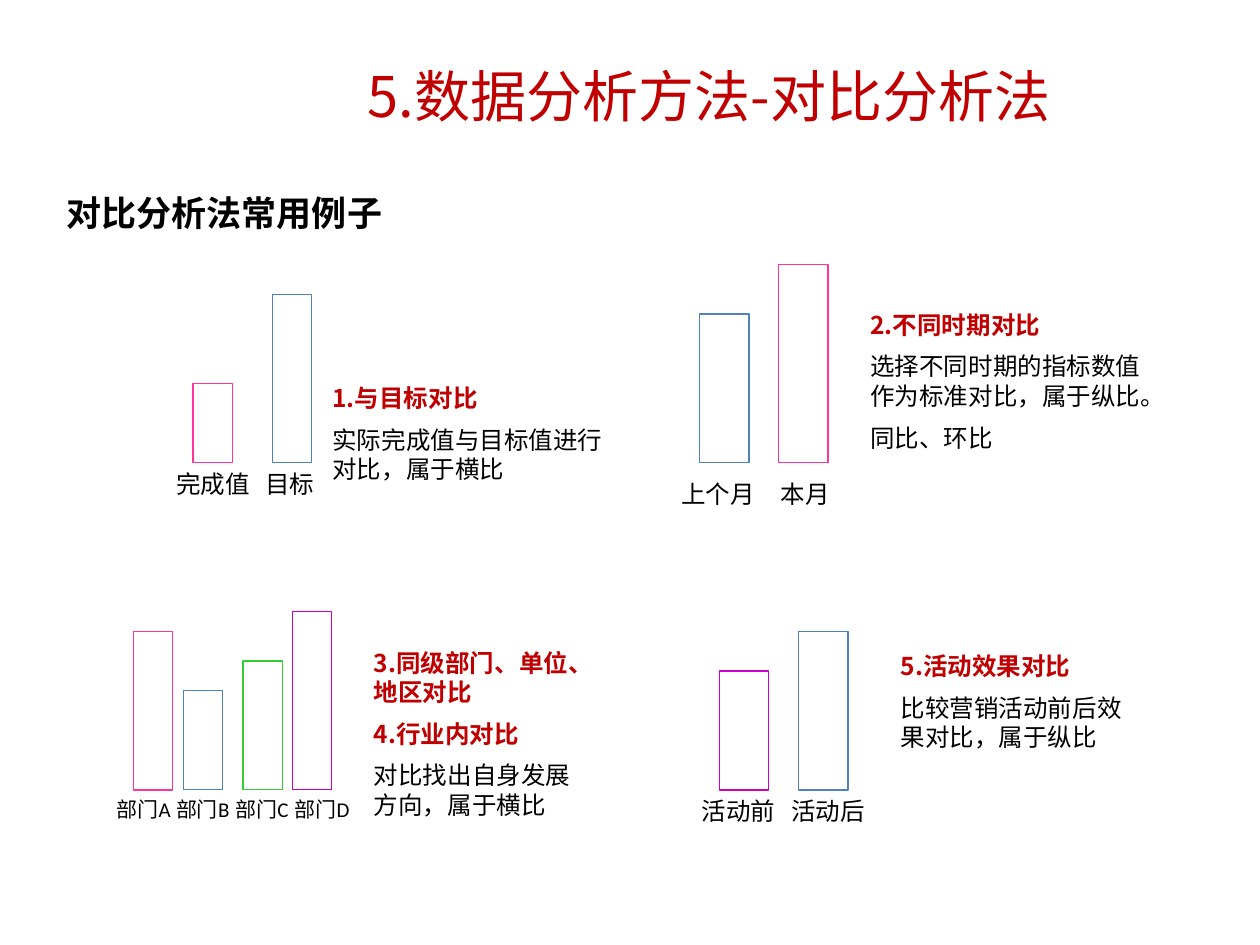
"""Build a slide of common examples of comparison analysis."""
import pptx
import pptx.dml.color
import pptx.enum.shapes
import pptx.enum.text
import pptx.util

Pt = pptx.util.Pt
SANS, BODY = "Noto Sans CJK SC", "Calibri"
BLACK, WHITE, RED = "000000", "FFFFFF", "C00000"
PINK, BLUE, GREEN, PURPLE = "FF3399", "4F81BD", "33CC33", "CC00CC"


def color(code):
    return pptx.dml.color.RGBColor.from_string(code)


class Deck:
    def __init__(self):
        self.file = pptx.Presentation()
        self.file.slide_width, self.file.slide_height = Pt(720), Pt(540)
        self.slide = self.file.slides.add_slide(self.file.slide_layouts[5])

    def style(self, para, size, name=BODY, ink=BLACK, bold=False):
        font = para.font
        font.size, font.name, font.bold = Pt(size), name, bold
        font.color.rgb = color(ink)

    def title(self, text, left, top, width, height):
        shape = self.slide.shapes.title
        shape.left, shape.top = Pt(left), Pt(top)
        shape.width, shape.height = Pt(width), Pt(height)
        frame = shape.text_frame
        frame.text = text
        frame.auto_size = pptx.enum.text.MSO_AUTO_SIZE.NONE
        frame.vertical_anchor = pptx.enum.text.MSO_ANCHOR.MIDDLE
        para = frame.paragraphs[0]
        para.alignment = pptx.enum.text.PP_ALIGN.CENTER
        self.style(para, 32, SANS, RED)

    def text(self, home, lines, left, top, width, height):
        frame = home.add_textbox(Pt(left), Pt(top), Pt(width), Pt(height)).text_frame
        frame.word_wrap = True
        frame.auto_size = pptx.enum.text.MSO_AUTO_SIZE.SHAPE_TO_FIT_TEXT
        for i, (words, *look) in enumerate(lines):
            para = frame.add_paragraph() if i else frame.paragraphs[0]
            para.text = words
            if i:
                para.space_before = Pt(7)
            self.style(para, *look)

    def note(self, heads, lines, *area):
        rows = [(head, 14, SANS, RED, True) for head in heads]
        rows += [(line, 14) for line in lines]
        self.text(self.slide.shapes, rows, *area)

    def bar(self, home, left, base, width, height, ink):
        shape = home.add_shape(pptx.enum.shapes.MSO_SHAPE.RECTANGLE,
                               Pt(left), Pt(base - height), Pt(width), Pt(height))
        shape.shadow.inherit = False
        shape.fill.solid()
        shape.fill.fore_color.rgb = color(WHITE)
        shape.line.color.rgb = color(ink)
        shape.line.width = Pt(0.75)

    def graph(self, base, wide, bars, top, size, names):
        home = self.slide.shapes.add_group_shape().shapes
        for left, height, ink in bars:
            self.bar(home, left, base, wide, height, ink)
        for name, left, width in names:
            self.text(home, [(name, size)], left, top, width, size * 1.7)


def main():
    deck = Deck()
    deck.title("5.数据分析方法-对比分析法", 172.8, 31.7, 465, 45.4)
    deck.text(deck.slide.shapes, [("对比分析法常用例子", 20, SANS, BLACK, True)],
              31, 106, 590, 31.7)

    upper, lower = 264.5, 451.4
    deck.graph(upper, 22.5, [(110.3, 45.4, PINK), (155.6, 96.4, BLUE)],
               upper, 14, [("完成值", 93.5, 57), ("目标", 144.6, 45.4)])
    deck.note(["1.与目标对比"], ["实际完成值与目标值进行对比，属于横比"],
              182.9, 215.3, 175.7, 67)

    deck.graph(upper, 28.3, [(399.7, 85, BLUE), (444.9, 113.5, PINK)],
               270, 14, [("上个月", 382.3, 57), ("本月", 439.2, 45.4)])
    deck.note(["2.不同时期对比"],
              ["选择不同时期的指标数值作为标准对比，属于纵比。", "同比、环比"],
              490.3, 173.5, 175.7, 92)

    deck.graph(lower, 22.5, [(76.3, 90.7, PINK), (104.8, 56.7, BLUE),
                             (138.8, 73.7, GREEN), (167.1, 102, PURPLE)],
               lower, 12, [("部门" + mark, 59.6 + 33.9 * i, 57)
                           for i, mark in enumerate("ABCD")])
    deck.note(["3.同级部门、单位、地区对比", "4.行业内对比"],
              ["对比找出自身发展方向，属于横比"], 206.6, 366.5, 136, 108.7)

    deck.graph(lower, 28.3, [(411, 68, PURPLE), (456.3, 90.7, BLUE)],
               lower, 14, [("活动前", 393.8, 62), ("活动后", 445, 62)])
    deck.note(["5.活动效果对比"], ["比较营销活动前后效果对比，属于纵比"],
              507.6, 368.6, 147.6, 67)
    deck.file.save("out.pptx")


if __name__ == "__main__":
    main()
